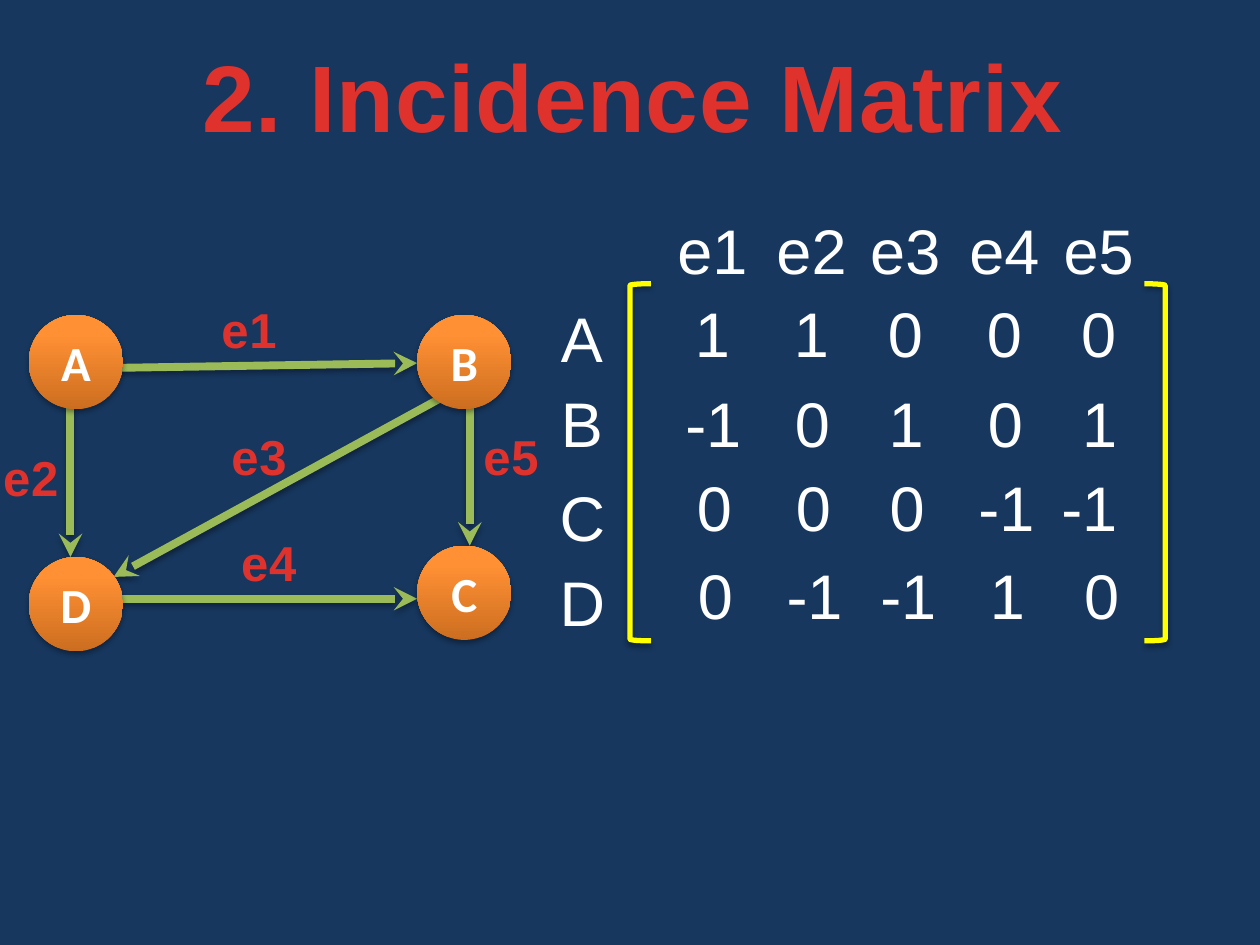
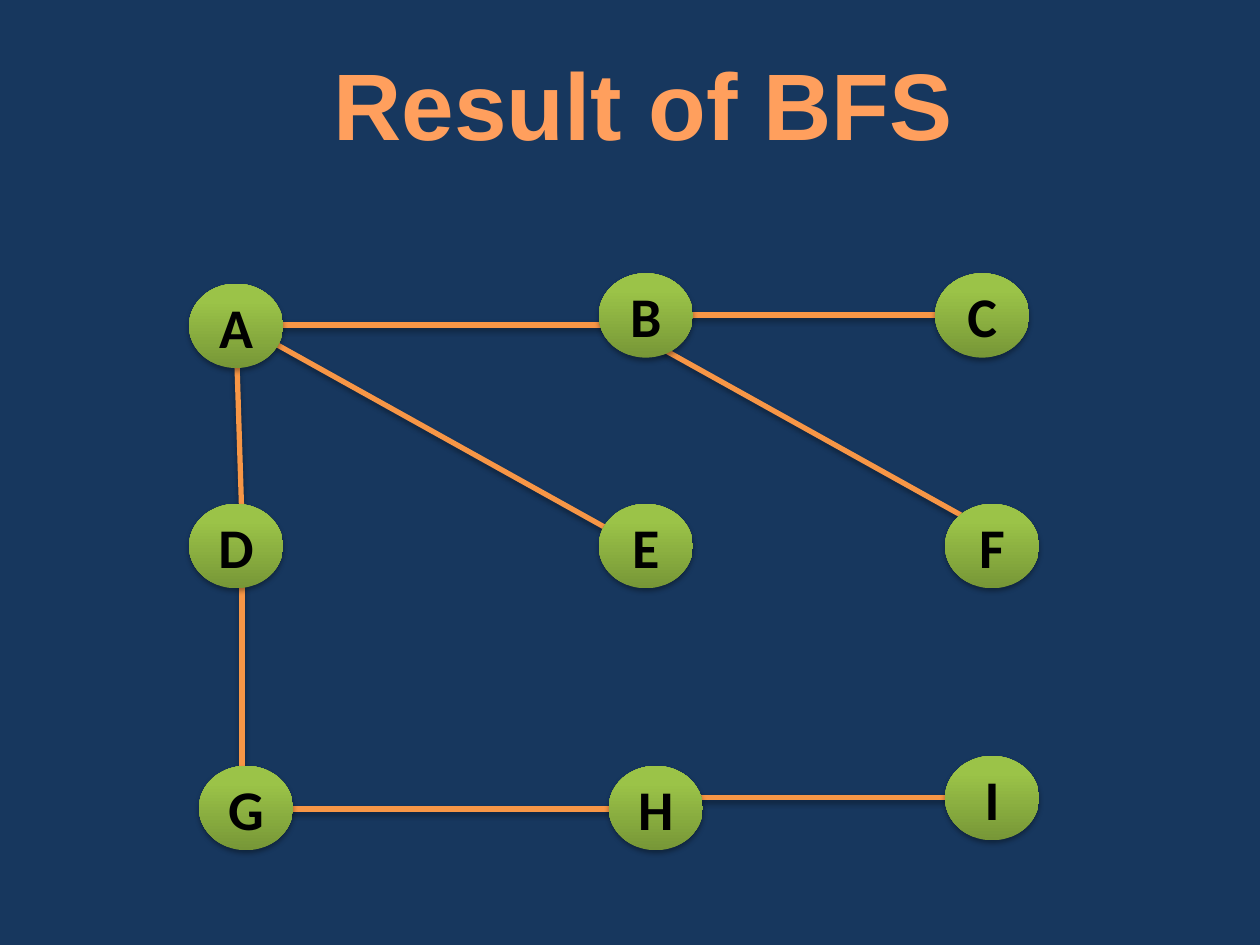
from lxml import etree
from pptx import Presentation
from pptx.dml.color import RGBColor
from pptx.enum.shapes import MSO_CONNECTOR, MSO_SHAPE
from pptx.enum.text import MSO_ANCHOR, PP_ALIGN
from pptx.oxml.ns import qn
from pptx.util import Cm, Pt

NAVY, WHITE, BLACK = "17375E", "FFFFFF", "000000"
RED, ORANGE, YELLOW = "E0322D", "FF9F5D", "FFFF00"
colour = RGBColor.from_string


def add_shadow(shape):
    """Soft shadow just below the shape; call after fill and line are set."""
    effects = etree.SubElement(shape._element.spPr, qn("a:effectLst"))
    shadow = etree.SubElement(effects, qn("a:outerShdw"), blurRad="40000",
                              dist="23000", dir="5400000", rotWithShape="0")
    black = etree.SubElement(shadow, qn("a:srgbClr"), val=BLACK)
    etree.SubElement(black, qn("a:alpha"), val="35000")


def write(shape, text, size, font_name, text_colour, bold):
    """Put one centred run into the shape."""
    paragraph = shape.text_frame.paragraphs[0]
    paragraph.alignment = PP_ALIGN.CENTER
    run = paragraph.add_run()
    run.text = text
    run.font.size = Pt(size)
    run.font.name = font_name
    run.font.bold = bold
    run.font.color.rgb = colour(text_colour)
    return run


presentation = Presentation()
presentation.slide_width, presentation.slide_height = Cm(25.4), Cm(19.05)

# Text labels: text, centre x, top, width, size, colour, bold, letter spacing
incidence_labels = [("2. Incidence Matrix", 12.76, 0.64, 18.06, 54, RED, True, 50)]
for text, centre, top in [("e1", 5.02, 5.92), ("e2", 0.62, 8.89), ("e3", 5.22, 8.48),
                          ("e4", 5.42, 10.62), ("e5", 10.3, 8.48)]:
    incidence_labels.append((text, centre, top, 1.65, 28, RED, True, 50))

# Incidence matrix: column heads, row heads and values
columns = {"e1": 14.36, "e2": 16.36, "e3": 18.25, "e4": 20.25, "e5": 22.15}
matrix = [  # row head, top of head, top of values, values
    ("A", 5.92, 5.82, (1, 1, 0, 0, 0)),
    ("B", 7.62, 7.62, (-1, 0, 1, 0, 1)),
    ("C", 9.53, 9.32, (0, 0, 0, -1, -1)),
    ("D", 11.23, 11.1, (0, -1, -1, 1, 0)),
]
nudges = {("C", "e5"): -0.23}
for name, centre in columns.items():
    incidence_labels.append((name, centre, 4.14, 1.93, 36, WHITE, False, 0))
for row, (head, head_top, value_top, values) in enumerate(matrix):
    incidence_labels.append((head, 11.73, head_top, 1.4, 36, WHITE, False, 0))
    for (name, centre), value in zip(columns.items(), values):
        centre += 0.02 * row + nudges.get((head, name), 0)
        width = 1.65 if value < 0 else 1.22
        incidence_labels.append((str(value), centre, value_top, width, 36, WHITE, False, 0))

# Each slide: a graph (nodes by left and top, edges by end points) and its labels
graphs = [
    {
        "labels": incidence_labels,
        "brackets": [(MSO_SHAPE.LEFT_BRACKET, 12.7), (MSO_SHAPE.RIGHT_BRACKET, 23.07)],
        "node_height": 1.9, "gradient": ("CC6E20", "FF9034"),
        "text_colour": WHITE, "text_size": 28,
        "edge_colour": "9BBB59", "edge_width": 4.5, "directed": True,
        "nodes": {"A": (0.58, 6.35), "C": (8.41, 11), "B": (8.41, 6.35), "D": (0.58, 11.23)},
        "edges": [
            (8.84, 8.05, 2.29, 11.63),
            (9.47, 8.05, 9.47, 11),
            (1.42, 8.05, 1.42, 11.23),
            (2.06, 12.07, 8.41, 12.07),
            (2.06, 7.42, 8.41, 7.32),
        ],
    },
    {
        "labels": [("Result of BFS", 12.97, 0.81, 13.13, 54, ORANGE, True, 0)],
        "brackets": [],
        "node_height": 1.7, "gradient": ("779737", "9BC348"),
        "text_colour": BLACK, "text_size": 32,
        "edge_colour": "F79646", "edge_width": 3, "directed": False,
        "nodes": {
            "A": (3.81, 5.72), "B": (12.07, 5.51), "C": (18.85, 5.51),
            "D": (3.81, 10.16), "E": (12.07, 10.16), "F": (19.05, 10.16),
            "G": (4.01, 15.44), "H": (12.27, 15.44), "I": (19.05, 15.24),
        },
        "edges": [
            (4.78, 7.42, 4.88, 10.58),
            (5.28, 6.78, 12.5, 10.8),
            (12.9, 6.78, 20.12, 10.8),
            (13.34, 16.08, 20.52, 16.08),
            (5.28, 16.31, 12.5, 16.31),
            (13.34, 6.35, 20.52, 6.35),
            (5.28, 6.55, 12.5, 6.55),
            (4.88, 11.43, 4.88, 15.88),
        ],
    },
]

for graph in graphs:
    slide = presentation.slides.add_slide(presentation.slide_layouts[6])
    slide.background.fill.solid()
    slide.background.fill.fore_color.rgb = colour(NAVY)
    group = slide.shapes.add_group_shape()

    # Edges, behind the nodes
    for ends in graph["edges"]:
        edge = group.shapes.add_connector(MSO_CONNECTOR.STRAIGHT, *map(Cm, ends))
        edge.line.color.rgb = colour(graph["edge_colour"])
        edge.line.width = Pt(graph["edge_width"])
        if graph["directed"]:
            etree.SubElement(edge.line._get_or_add_ln(), qn("a:tailEnd"), type="stealth")
        add_shadow(edge)

    # Nodes
    for name, (left, top) in graph["nodes"].items():
        node = group.shapes.add_shape(MSO_SHAPE.OVAL, Cm(left), Cm(top),
                                      Cm(1.9), Cm(graph["node_height"]))
        node.fill.gradient()
        node.fill.gradient_angle = 90
        for stop, position, shade in zip(node.fill.gradient_stops, (0, 0.8), graph["gradient"]):
            stop.position = position
            stop.color.rgb = colour(shade)
        node.line.fill.background()
        add_shadow(node)
        node.text_frame.vertical_anchor = MSO_ANCHOR.MIDDLE
        write(node, name, graph["text_size"], "Calibri", graph["text_colour"], True)

    # Matrix brackets
    for kind, left in graph["brackets"]:
        bracket = slide.shapes.add_shape(kind, Cm(left), Cm(5.72), Cm(0.42), Cm(7.2))
        bracket.fill.background()
        bracket.line.color.rgb = colour(YELLOW)
        bracket.line.width = Pt(3)
        add_shadow(bracket)

    # Title, edge names and matrix entries
    for text, centre, top, width, size, text_colour, bold, spacing in graph["labels"]:
        label = slide.shapes.add_textbox(Cm(centre - width / 2), Cm(top),
                                         Cm(width), Cm(0.043 * size + 0.25))
        label.text_frame.word_wrap = False
        run = write(label, text, size, "Arial", text_colour, bold)
        if spacing:
            run.font._element.set("spc", str(spacing))

presentation.save("out.pptx")
